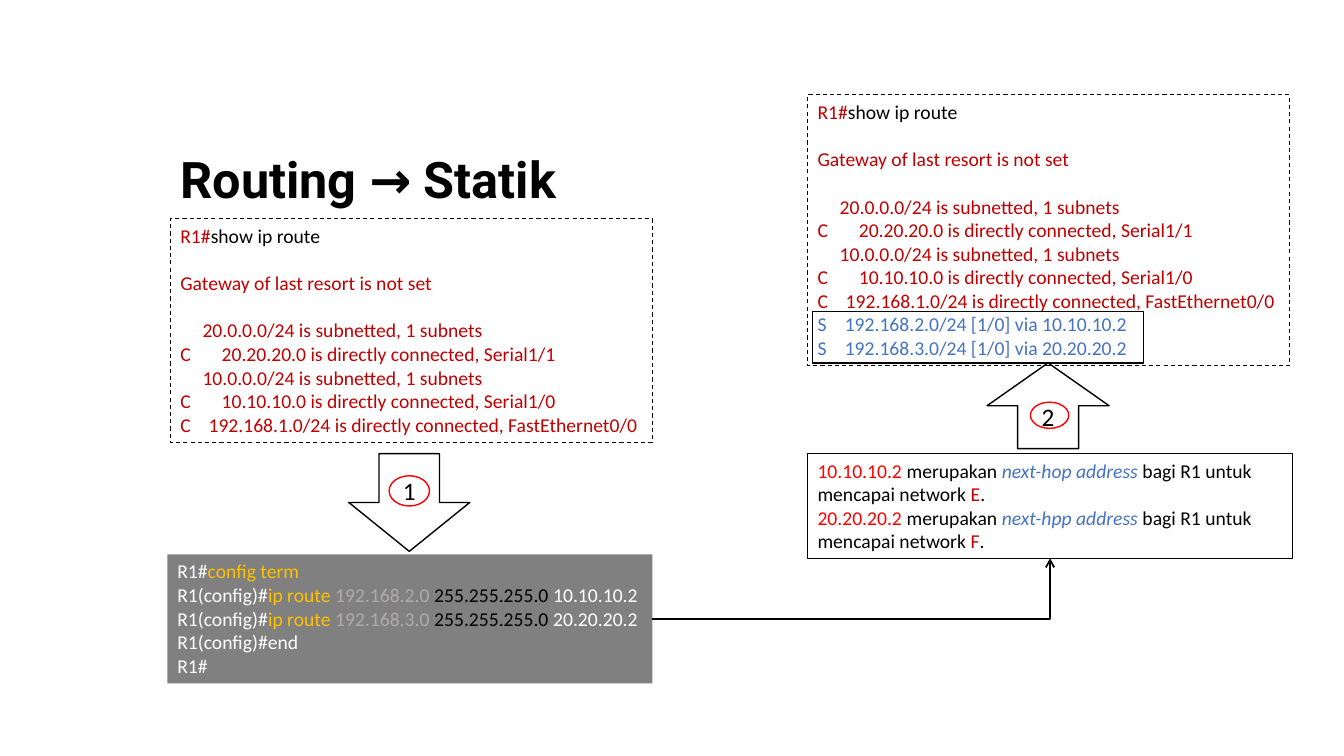
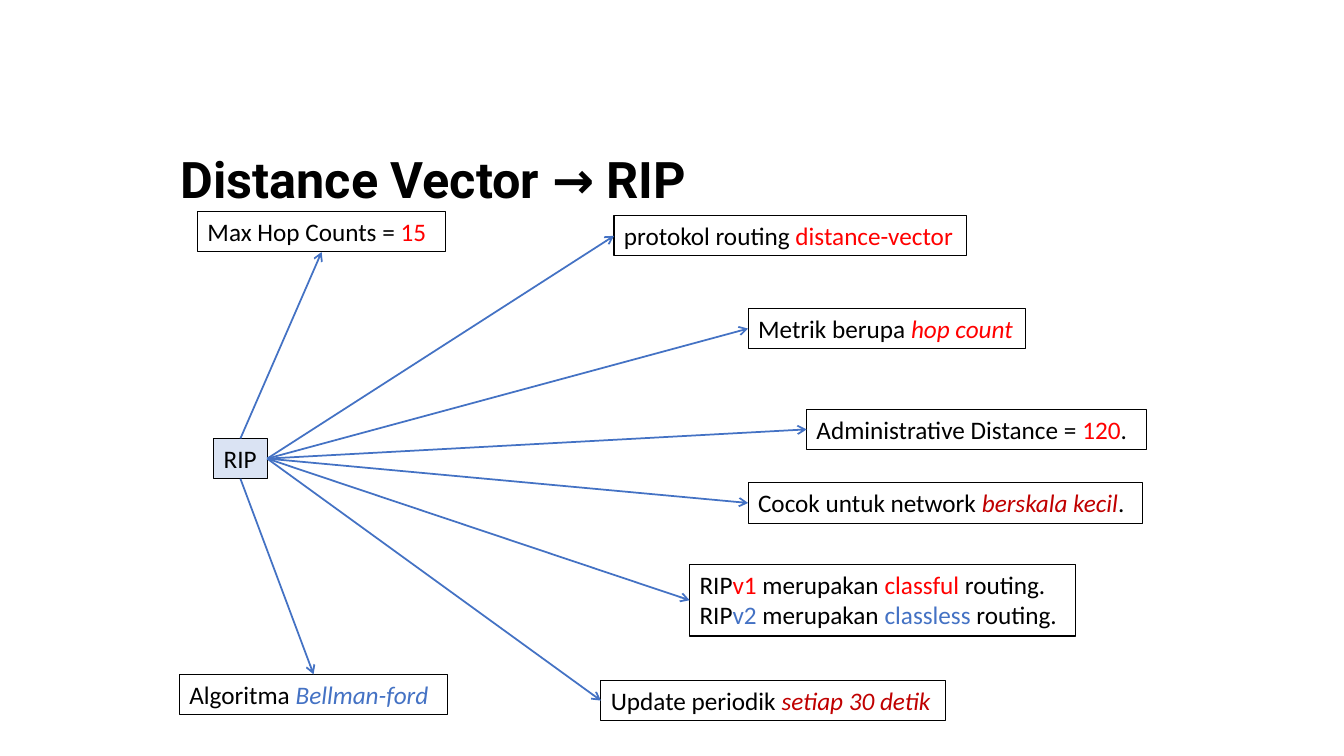
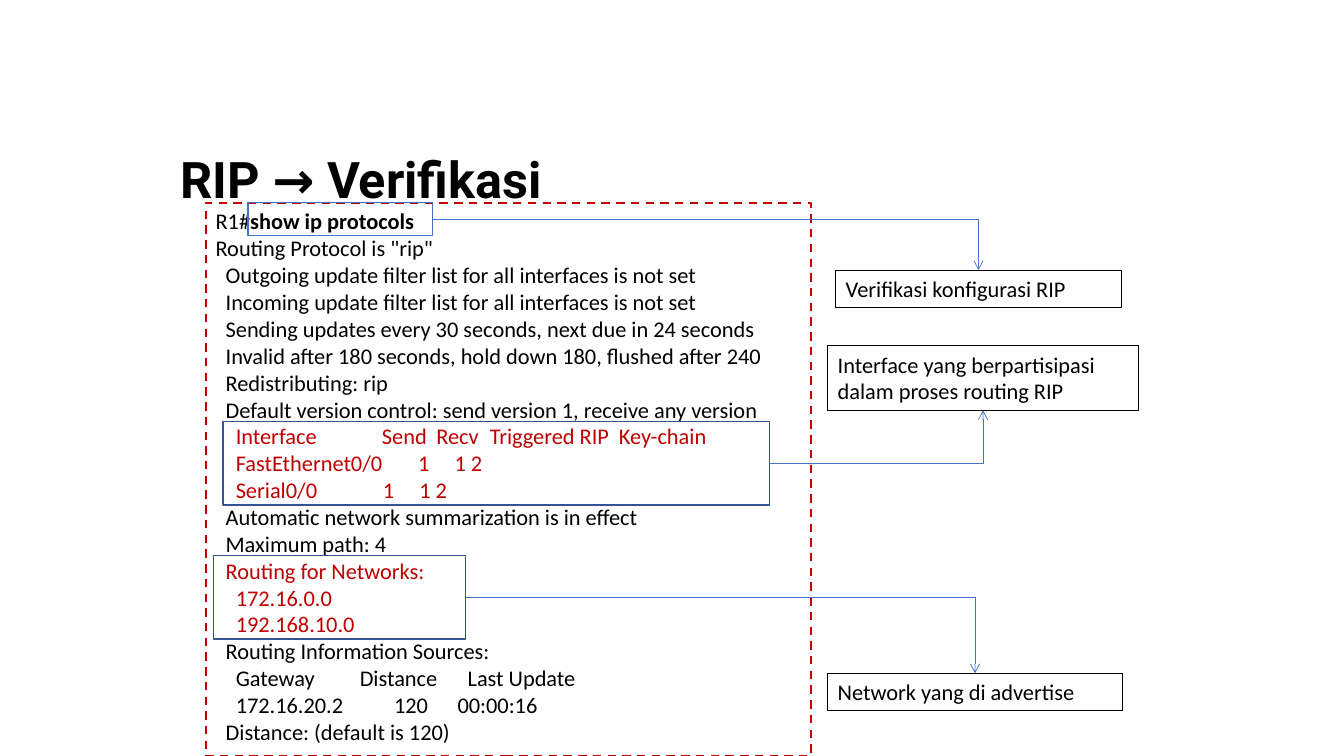
from pptx import Presentation
from pptx.dml.color import RGBColor as RGB
from pptx.enum.dml import MSO_LINE as Dash
from pptx.enum.shapes import MSO_CONNECTOR as Conn, MSO_SHAPE as Shape
from pptx.enum.text import MSO_ANCHOR as Anchor, PP_ALIGN as Align
from pptx.oxml.ns import qn
from pptx.oxml.xmlchemy import OxmlElement as Elem
from pptx.util import Inches, Pt

BLACK = RGB(0x00, 0x00, 0x00)
WHITE = RGB(0xFF, 0xFF, 0xFF)
RED = RGB(0xFF, 0x00, 0x00)
DARK = RGB(0xC0, 0x00, 0x00)
BLUE = RGB(0x44, 0x72, 0xC4)
NAVY = RGB(0x32, 0x54, 0x91)
PALE = RGB(0xDA, 0xE3, 0xF3)
GOLD = RGB(0xFF, 0xC0, 0x00)
GRAY = RGB(0x80, 0x80, 0x80)
SILVER = RGB(0xAF, 0xAB, 0xAB)
TOP, LEFT, BOTTOM, RIGHT = range(4)


def row(*runs, stops=(), gap=0):
    """One paragraph: runs are (text, colour, style), stops are tab stops in inches, gap is points above."""
    return runs, stops, gap


def rows(color, *lines):
    """Paragraphs of one colour from (text, tab stops...)."""
    return [row((text, color), stops=stops) for text, *stops in lines]


# Slide 1: static routing
ROUTES = [
    row(("R1#", DARK), ("show ip route", BLACK)),
    row(("Gateway of last resort is not set", DARK), gap=17),
    row(("\t20.0.0.0/24 is subnetted, 1 subnets", DARK), stops=[0.22], gap=17),
    *rows(DARK,
          ("C\t20.20.20.0 is directly connected, Serial1/1", 0.41),
          ("\t10.0.0.0/24 is subnetted, 1 subnets", 0.22),
          ("C\t10.10.10.0 is directly connected, Serial1/0", 0.41),
          ("C\t192.168.1.0/24 is directly connected, FastEthernet0/0", 0.28)),
]
HOPS = [("192.168.2.0", "10.10.10.2", "next-hop", "E"),
        ("192.168.3.0", "20.20.20.2", "next-hpp", "F")]
STATIC = rows(BLUE, *[(f"S\t{net} [1/0] via {hop}".replace(" [", "/24 ["), 0.27)
                      for net, hop, _, _ in HOPS])
CONFIG = [
    row(("R1#", WHITE), ("config term", GOLD)),
    *[row(("R1(config)#", WHITE), ("ip route ", GOLD), (net + " ", SILVER),
          ("255.255.255.0", BLACK), (" " + hop, WHITE)) for net, hop, _, _ in HOPS],
    *rows(WHITE, ("R1(config)#end",), ("R1#",)),
]
NOTE = [row((hop + " ", RED), ("merupakan ", BLACK), (word + " address ", BLUE, "i"),
            ("bagi R1 untuk mencapai network ", BLACK), (net, DARK), (".", BLACK))
        for _, hop, word, net in HOPS]
STEPS = [  # number, arrow, arrow box, ring box
    ("1", Shape.DOWN_ARROW, (3.46, 4.5, 1.2, 0.97), (3.86, 4.72, 0.4, 0.3)),
    ("2", Shape.UP_ARROW, (9.79, 3.6, 1.21, 0.85), (10.22, 3.99, 0.38, 0.26)),
]

# Slide 2: RIP facts as (box, paragraphs, side of the hub, side of the box)
FACTS = [
    ((6.09, 2.14, 3.5, 0.4),
     [row(("protokol routing ", BLACK), ("distance-vector", RED))], RIGHT, LEFT),
    ((5.96, 6.75, 3.42, 0.4),
     [row(("Update periodik ", BLACK), ("setiap 30 detik", DARK, "i"))], RIGHT, LEFT),
    ((7.42, 3.06, 2.75, 0.4),
     [row(("Metrik berupa ", BLACK), ("hop count", RED, "i"))], RIGHT, LEFT),
    ((1.96, 2.1, 2.46, 0.4),
     [row(("Max Hop Counts = ", BLACK), ("15", RED))], TOP, BOTTOM),
    ((8, 4.06, 3.37, 0.4),
     [row(("Administrative Distance = ", BLACK), ("120", RED), (".", BLACK))], RIGHT, LEFT),
    ((1.78, 6.69, 2.66, 0.4),
     [row(("Algoritma ", BLACK), ("Bellman-ford", BLUE, "i"))], BOTTOM, TOP),
    ((7.42, 4.79, 3.91, 0.4),
     [row(("Cocok untuk network ", BLACK), ("berskala kecil", DARK, "i"), (".", BLACK))],
     RIGHT, LEFT),
    ((6.84, 5.6, 3.83, 0.71),
     [row(("RIP", BLACK), (ver + " ", color), ("merupakan ", BLACK), (kind, color),
          (" routing.", BLACK))
      for ver, kind, color in [("v1", "classful", RED), ("v2", "classless", BLUE)]],
     RIGHT, LEFT),
]

# Slide 3: RIP check
OUTPUT = [
    row(("R1#", BLACK), ("show ip protocols", BLACK, "b")),
    *rows(BLACK,
          ('Routing Protocol is "rip"',),
          ("\tOutgoing update filter list for all interfaces is not set", 0.1),
          ("\tIncoming update filter list for all interfaces is not set", 0.1),
          ("\tSending updates every 30 seconds, next due in 24 seconds", 0.1),
          ("\tInvalid after 180 seconds, hold down 180, flushed after 240", 0.1),
          ("\tRedistributing: rip", 0.1),
          ("\tDefault version control: send version 1, receive any version", 0.1)),
    *rows(DARK,
          ("\tInterface\tSend\tRecv\tTriggered RIP\tKey-chain", 0.2, 1.65, 2.19, 2.72, 4),
          ("\tFastEthernet0/0\t1\t1 2", 0.2, 2.01, 2.37),
          ("\tSerial0/0\t1\t1 2", 0.2, 1.66, 2.02)),
    *rows(BLACK,
          ("\tAutomatic network summarization is in effect", 0.1),
          ("\tMaximum path: 4", 0.1)),
    *rows(DARK,
          ("\tRouting for Networks:", 0.1),
          ("\t172.16.0.0", 0.2),
          ("\t192.168.10.0", 0.2)),
    *rows(BLACK,
          ("\tRouting Information Sources:", 0.1),
          ("\tGateway\tDistance\tLast Update", 0.2, 1.43, 2.5),
          ("\t172.16.20.2\t120\t00:00:16", 0.2, 1.77, 2.4),
          ("\tDistance: (default is 120)", 0.1)),
]
MARKS = [  # marked area, its colour, note box, note, side of the note
    ((2.21, 4.18, 5.42, 0.83), NAVY, (8.21, 3.43, 3.08, 0.64),
     "Interface yang berpartisipasi dalam proses routing RIP", BOTTOM),
    ((2.46, 2.01, 1.83, 0.33), BLUE, (8.29, 2.68, 2.83, 0.37),
     "Verifikasi konfigurasi RIP", TOP),
    ((2.12, 5.51, 2.5, 0.83), NAVY, (8.21, 6.68, 2.92, 0.37),
     "Network yang di advertise", TOP),
]


def start(deck, text):
    """Add a slide with its title and return its shapes."""
    shapes = deck.slides.add_slide(deck.slide_layouts[5]).shapes
    title = shapes.title
    title.left, title.top, title.width, title.height = map(Inches, (1.69, 1.36, 10.66, 0.89))
    frame = title.text_frame
    frame.text = text
    frame.vertical_anchor = Anchor.MIDDLE
    para = frame.paragraphs[0]
    para.alignment, para.line_spacing = Align.LEFT, 0.9
    font = para.runs[0].font
    font.name, font.size, font.bold = "Roboto", Pt(36), True
    font.color.rgb = BLACK
    return shapes


def write(frame, lines, size, align):
    for num, (runs, stops, gap) in enumerate(lines):
        para = frame.add_paragraph() if num else frame.paragraphs[0]
        para.alignment = align
        if gap:
            para.space_before = Pt(gap)
        if stops:
            tabs = Elem("a:tabLst")
            for stop in stops:
                tab = Elem("a:tab")
                tab.set("pos", str(Inches(stop)))
                tab.set("algn", "l")
                tabs.append(tab)
            para._p.get_or_add_pPr().append(tabs)
        for text, color, *style in runs:
            run = para.add_run()
            run.text = text
            font = run.font
            font.name, font.size = "Calibri", Pt(size)
            font.color.rgb = color
            font.bold, font.italic = "b" in style, "i" in style


def draw(shapes, area, lines=(), size=18, kind=Shape.RECTANGLE, fill=None, line=BLACK,
         width=0.75, dash=None, align=Align.LEFT, anchor=Anchor.TOP, wrap=True):
    shape = shapes.add_shape(kind, *map(Inches, area))
    shape.shadow.inherit = False
    if fill is None:
        shape.fill.background()
    else:
        shape.fill.solid()
        shape.fill.fore_color.rgb = fill
    if line is None:
        shape.line.fill.background()
    else:
        shape.line.color.rgb = line
        shape.line.width = Pt(width)
        if dash:
            shape.line.dash_style = dash
    frame = shape.text_frame
    frame.word_wrap, frame.vertical_anchor = wrap, anchor
    write(frame, lines, size, align)
    return shape


def link(shapes, one, side, two, end, color, width, bent=False):
    """Join two shapes with an arrow; a bent one has a single corner."""
    conn = shapes.add_connector(Conn.ELBOW if bent else Conn.STRAIGHT, 0, 0, 0, 0)
    conn.begin_connect(one, side)
    conn.end_connect(two, end)
    conn.line.color.rgb = color
    conn.line.width = Pt(width)
    props = conn._element.spPr
    if bent:
        props.find(qn("a:prstGeom")).set("prst", "bentConnector2")
    tail = Elem("a:tailEnd")
    tail.set("type", "arrow")
    props.find(qn("a:ln")).append(tail)
    props.append(Elem("a:effectLst"))


def static(deck):
    shapes = start(deck, "Routing → Statik")
    config = draw(shapes, (1.66, 5.5, 4.81, 1.28), CONFIG, 14, fill=GRAY, line=None)
    note = draw(shapes, (8.01, 4.5, 4.81, 1.04), NOTE, 14)
    link(shapes, config, RIGHT, note, BOTTOM, BLACK, 1.25, bent=True)
    draw(shapes, (1.69, 2.17, 4.78, 2.22), ROUTES, 14, dash=Dash.DASH)
    draw(shapes, (8.01, 0.94, 4.78, 2.69), ROUTES + STATIC, 14, dash=Dash.DASH)
    for num, arrow, area, ring in STEPS:
        draw(shapes, area, [row((num, BLACK))], kind=arrow, width=1,
             align=Align.CENTER, anchor=Anchor.MIDDLE)
        draw(shapes, ring, kind=Shape.OVAL, line=RED, width=1)
    draw(shapes, (8.06, 3.09, 3.28, 0.51), width=1)


def facts(deck):
    shapes = start(deck, "Distance Vector → RIP")
    hub = draw(shapes, (2.12, 4.35, 0.53, 0.4), [row(("RIP", BLACK))], fill=PALE, wrap=False)
    for area, lines, side, end in FACTS:
        link(shapes, hub, side, draw(shapes, area, lines), end, BLUE, 1.25)


def check(deck):
    shapes = start(deck, "RIP → Verifikasi")
    draw(shapes, (2.04, 2.01, 6, 5.49), OUTPUT, 16, line=DARK, width=1.5, dash=Dash.DASH)
    for area, color, spot, text, end in MARKS:
        mark = draw(shapes, area, line=color, width=1)
        note = draw(shapes, spot, [row((text, BLACK))], 16)
        link(shapes, mark, RIGHT, note, end, BLUE, 0.5, bent=True)


def main():
    deck = Presentation()
    deck.slide_width, deck.slide_height = Inches(13.33), Inches(7.5)
    for build in (static, facts, check):
        build(deck)
    deck.save("out.pptx")


if __name__ == "__main__":
    main()
